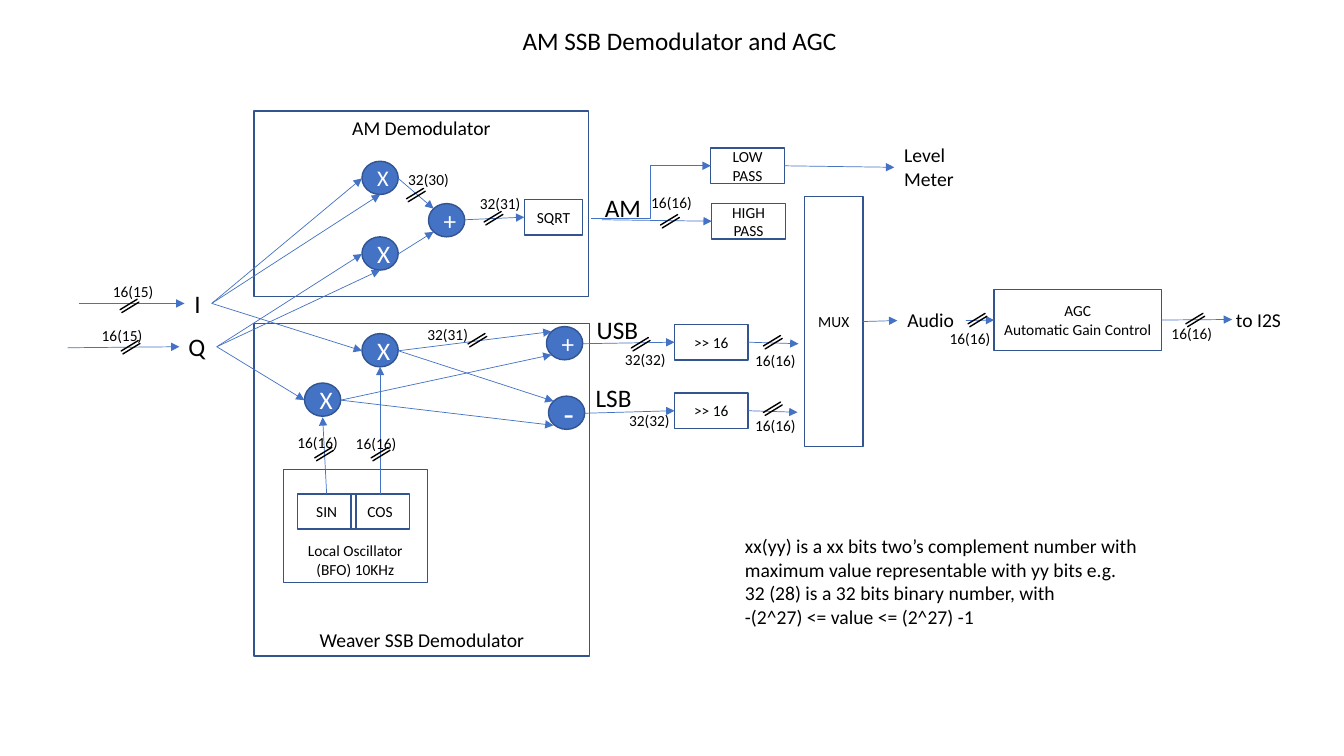
from lxml import etree
from pptx import Presentation
from pptx import util as u
from pptx.dml.color import RGBColor
from pptx.enum import shapes, text
from pptx.oxml.ns import qn

BLUE = RGBColor(0x44, 0x72, 0xC4)
NAVY = RGBColor(0x32, 0x54, 0x90)
BLACK = RGBColor(0, 0, 0)
WHITE = RGBColor(255, 255, 255)
SHAPE = shapes.MSO_SHAPE
ANCHOR = text.MSO_ANCHOR
CENTER = text.PP_ALIGN.CENTER

deck = Presentation()
deck.slide_width, deck.slide_height = u.Inches(13.33), u.Inches(7.5)
page = deck.slides.add_slide(deck.slide_layouts[5])


def write(box, words, size, color=BLACK, align=None, anchor=ANCHOR.TOP, wrap=True, inset=(0.1, 0.05)):
    frame = box.text_frame
    frame.text = words
    frame.word_wrap = wrap
    frame.vertical_anchor = anchor
    frame.margin_left = frame.margin_right = u.Inches(inset[0])
    frame.margin_top = frame.margin_bottom = u.Inches(inset[1])
    for para in frame.paragraphs:
        para.alignment = align
        para.font.name = "Calibri"
        para.font.size = u.Pt(size)
        para.font.color.rgb = color


def draw(kind, left, top, width, height, line=NAVY, fill=None):
    shape = page.shapes.add_shape(kind, *map(u.Inches, (left, top, width, height)))
    shape.shadow.inherit = False
    if fill is None:
        shape.fill.background()
    else:
        shape.fill.solid()
        shape.fill.fore_color.rgb = fill
    shape.line.color.rgb = line
    shape.line.width = u.Pt(1)
    return shape


# Title
title = page.shapes.title
title.left, title.top, title.width, title.height = map(u.Inches, (0.74, 0.2, 12, 0.4))
write(title, "AM SSB Demodulator and AGC", 18, align=CENTER)

# Demodulator frames
for words, top, width, height, anchor in [
    ("AM Demodulator", 1.1, 3.32, 1.84, ANCHOR.TOP),
    ("Weaver SSB Demodulator", 3.21, 3.33, 3.3, ANCHOR.BOTTOM),
]:
    write(draw(SHAPE.RECTANGLE, 2.52, top, width, height), words, 14, align=CENTER, anchor=anchor)

# Processing blocks
blocks = {}
for name, words, left, top, width, height in [
    ("oscillator", "Local Oscillator (BFO) 10KHz", 2.81, 4.66, 1.43, 1.12),
    ("sin", "SIN", 2.95, 4.9, 0.58, 0.35),
    ("cos", "COS", 3.48, 4.9, 0.58, 0.35),
    ("sqrt", "SQRT", 5.2, 1.98, 0.58, 0.35),
    ("low", "LOW PASS", 7.05, 1.47, 0.73, 0.35),
    ("high", "HIGH PASS", 7.06, 2.02, 0.73, 0.35),
    ("usb shift", ">> 16", 6.69, 3.22, 0.73, 0.35),
    ("lsb shift", ">> 16", 6.69, 3.9, 0.73, 0.35),
    ("mux", "MUX", 7.98, 1.95, 0.58, 2.48),
    ("agc", "AGC\nAutomatic Gain Control", 9.86, 2.87, 1.66, 0.61),
]:
    blocks[name] = draw(SHAPE.RECTANGLE, left, top, width, height)
    anchor = ANCHOR.BOTTOM if name == "oscillator" else ANCHOR.MIDDLE
    write(blocks[name], words, 11, align=CENTER, anchor=anchor, inset=(0.07, 0.04))

# Mixers and adders
for sign, left, top, size in [
    ("X", 3.59, 1.6, 16), ("X", 3.59, 2.35, 18), ("+", 4.25, 2.02, 18),
    ("X", 3.59, 3.31, 18), ("X", 3.02, 3.8, 18),
    ("+", 5.42, 3.24, 18), ("-", 5.44, 3.93, 24),
]:
    write(draw(SHAPE.OVAL, left, top, 0.36, 0.33, fill=BLUE), sign, size, WHITE, CENTER, ANCHOR.MIDDLE)

# Wires: each end is a point, or a block with its side (0 top, 1 left, 2 bottom, 3 right)
I, Q = (2.1, 3.01), (2.15, 3.44)
COS_MIXER, SIN_MIXER = (3.95, 3.48), (3.38, 3.97)
for start, end in [
    ((0.78, 3.01), (1.83, 3.01)), ((0.67, 3.45), (1.78, 3.44)),
    (I, (3.59, 1.77)), (I, (3.77, 1.93)), (I, (3.59, 3.48)),
    (Q, (3.59, 2.52)), (Q, (3.77, 2.68)), (Q, (3.02, 3.97)),
    ((3.95, 1.77), (4.3, 2.07)), ((3.95, 2.52), (4.3, 2.3)),
    ((4.61, 2.18), ("sqrt", 1)),
    (("sin", 0), (3.2, 4.14)), (("cos", 0), (3.77, 3.64)),
    (COS_MIXER, (5.47, 3.29)), (COS_MIXER, (5.49, 3.98)),
    (SIN_MIXER, (5.47, 3.52)), (SIN_MIXER, (5.49, 4.22)),
    ((5.78, 3.41), ("usb shift", 1)), ((5.8, 4.1), ("lsb shift", 1)),
    (("usb shift", 3), (7.92, 3.41)), (("lsb shift", 3), (7.91, 4.09)),
    ((5.97, 2.18), ("high", 1)), ((5.86, 2.17), ("low", 1)),
    (("low", 3), (8.87, 1.66)), (("mux", 3), (8.9, 3.18)),
    ((9.58, 3.18), ("agc", 1)), (("agc", 3), (12.22, 3.17)),
]:
    kind = shapes.MSO_CONNECTOR.ELBOW if end == ("low", 1) else shapes.MSO_CONNECTOR.STRAIGHT
    wire = page.shapes.add_connector(kind, 0, 0, 0, 0)
    if start[0] in blocks:
        wire.begin_connect(blocks[start[0]], start[1])
    else:
        wire.begin_x, wire.begin_y = map(u.Inches, start)
    if end[0] in blocks:
        wire.end_connect(blocks[end[0]], end[1])
    else:
        wire.end_x, wire.end_y = map(u.Inches, end)
    wire.line.color.rgb = BLUE
    wire.line.width = u.Pt(0.5)
    etree.SubElement(wire.line._get_or_add_ln(), qn("a:tailEnd"), type="triangle")
    etree.SubElement(wire._element.spPr, qn("a:effectLst"))

# Bus widths: label position, then slash position
for words, left, top, slash_left, slash_top in [
    ("16(15)", 1.02, 2.75, 1.15, 2.89), ("16(15)", 0.91, 3.19, 1.16, 3.3),
    ("32(30)", 3.95, 1.64, 3.99, 1.79), ("32(31)", 4.66, 1.88, 4.76, 2.02),
    ("16(16)", 6.36, 1.87, 6.51, 2.05), ("32(31)", 4.14, 3.18, 4.6, 3.23),
    ("16(16)", 2.85, 4.25, 3.08, 4.36), ("16(16)", 3.43, 4.26, 3.64, 4.36),
    ("32(32)", 6.1, 3.42, 6.22, 3.27), ("32(32)", 6.14, 4.03, None, None),
    ("16(16)", 7.39, 3.43, 7.53, 3.25), ("16(16)", 7.39, 4.08, 7.53, 3.91),
    ("16(16)", 9.32, 3.22, 9.56, 3.03), ("16(16)", 11.52, 3.17, 11.72, 3.03),
]:
    if slash_left is not None:
        slash = draw(SHAPE.MATH_EQUAL, slash_left, slash_top, 0.27, 0.29, BLACK, WHITE)
        slash.rotation = 328.6
        slash.adjustments[0], slash.adjustments[1] = 0, 0.118
    label = page.shapes.add_textbox(*map(u.Inches, (left, top, 0.71, 0.28)))
    write(label, words, 11, wrap=False)

# Signal names and the legend
LEGEND = (
    "xx(yy) is a xx bits two’s complement number with maximum value representable with yy bits e.g.\n"
    "32 (28) is a 32 bits binary number, with\n"
    "-(2^27) <= value <= (2^27) -1"
)
for words, left, top, width, height, size, wrap in [
    ("I", 1.83, 2.81, 0.27, 0.4, 18, False),
    ("Q", 1.77, 3.24, 0.39, 0.4, 18, False),
    ("AM", 5.9, 1.86, 0.58, 0.4, 18, False),
    ("USB", 5.82, 3.07, 0.71, 0.4, 18, False),
    ("LSB", 5.81, 3.74, 0.67, 0.4, 18, False),
    ("Level Meter", 8.87, 1.37, 0.8, 0.56, 14, True),
    ("Audio", 8.9, 3.01, 0.68, 0.56, 14, True),
    ("to I2S", 12.16, 3.01, 0.76, 0.33, 14, False),
    (LEGEND, 7.29, 5.25, 4.62, 1.26, 14, True),
]:
    box = page.shapes.add_textbox(*map(u.Inches, (left, top, width, height)))
    write(box, words, size, wrap=wrap)

deck.save("out.pptx")
